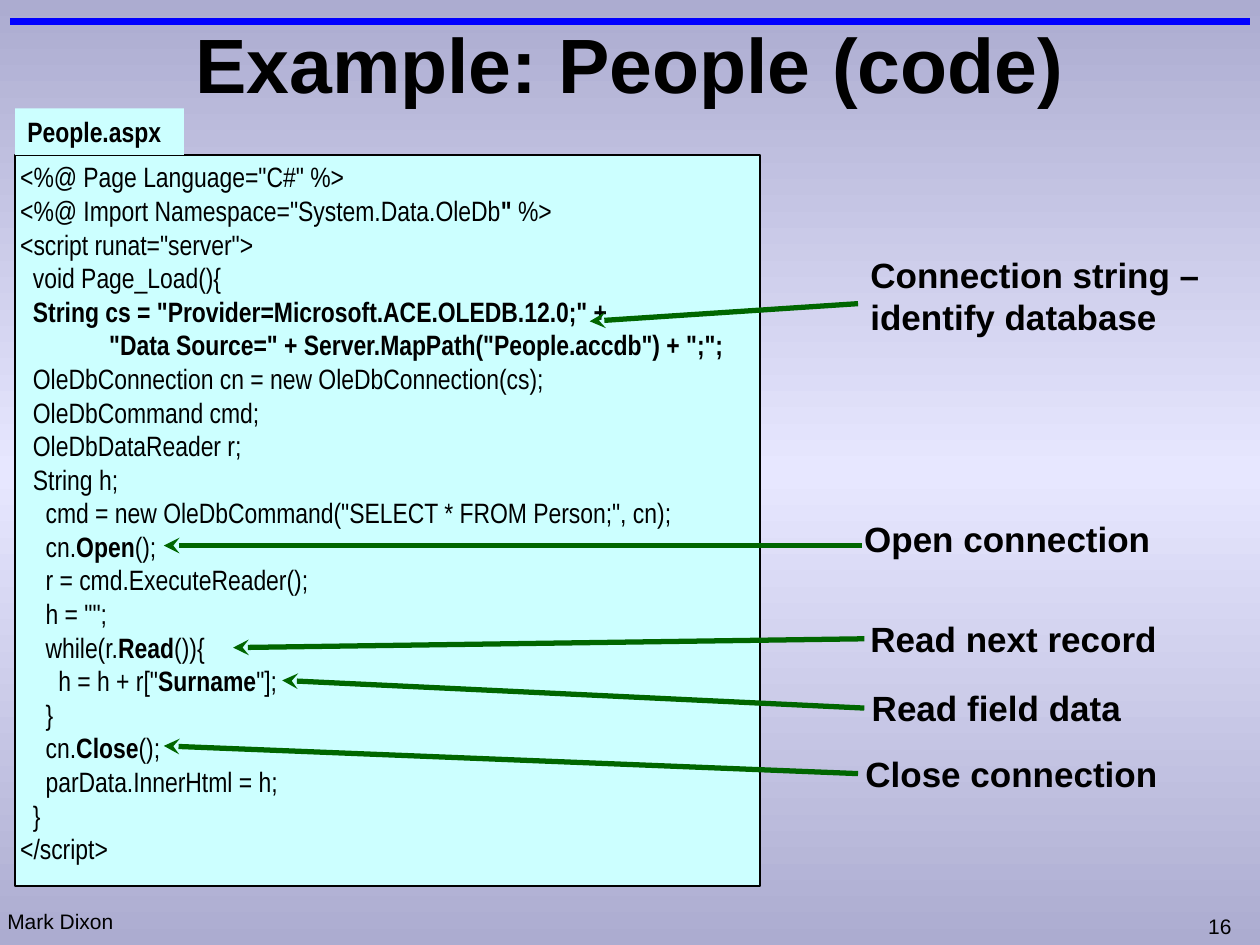
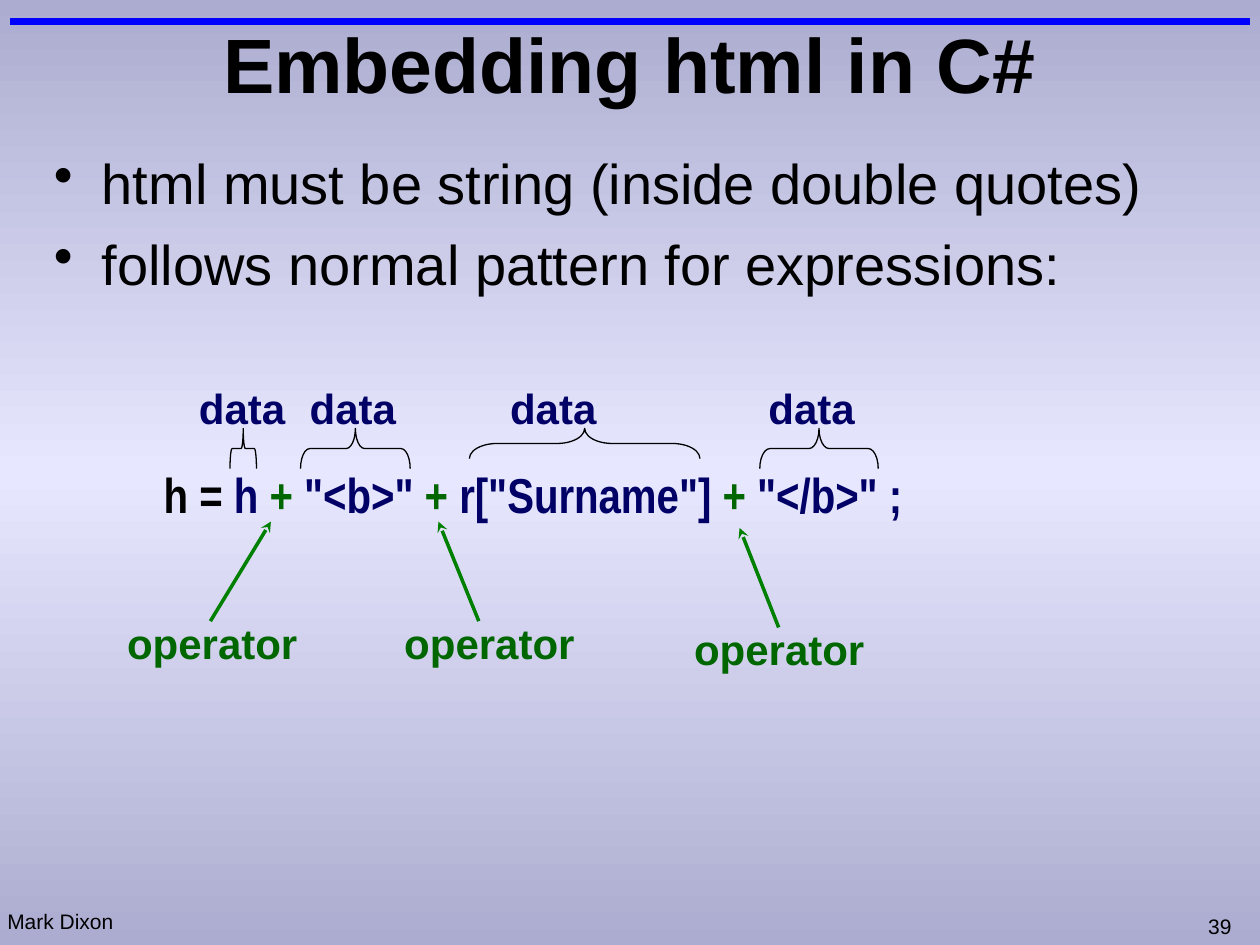
from copy import deepcopy

from pptx import Presentation
from pptx.dml.color import RGBColor
from pptx.enum.shapes import MSO_CONNECTOR as CONN, MSO_SHAPE as SHAPE
from pptx.enum.text import MSO_ANCHOR as ANCHOR, PP_ALIGN as ALIGN
from pptx.oxml.ns import qn
from pptx.oxml.xmlchemy import OxmlElement
from pptx.util import Inches, Pt

COLS, ROWS = 100, 75  # grid cells of 0.1 inch
BLACK, BLUE, NAVY = "000000", "0000FF", "000066"
GREEN, ARROW_GREEN, CODE_FILL = "006600", "008000", "CCFFFF"
BG_STOPS = ("ACACD0", "E7E7FF", "ACACD0")

TITLE = {"name": "Arial", "size": Pt(44), "bold": True}
FOOTER = {"name": "Arial", "size": Pt(12)}
BODY = {"name": "Arial", "size": Pt(32)}
NOTE = {"name": "Arial", "size": Pt(20), "bold": True}
TERM = {"name": "Arial", "size": Pt(24), "bold": True}
CODE = {"name": "Arial Narrow", "size": Pt(16)}
EXPRESSION = {"name": "Arial Narrow", "size": Pt(28), "bold": True}

# ~ switches bold on and off
PEOPLE_CODE = '''<%@ Page Language="C#" %>
<%@ Import Namespace="System.Data.OleDb~" ~%>
<script runat="server">
  void Page_Load(){
  ~String cs = "Provider=Microsoft.ACE.OLEDB.12.0;" +~
~              "Data Source=" + Server.MapPath("People.accdb") + ";";~
  OleDbConnection cn = new OleDbConnection(cs);
  OleDbCommand cmd;
  OleDbDataReader r;
  String h;
    cmd = new OleDbCommand("SELECT * FROM Person;", cn);
    cn.~Open~();
    r = cmd.ExecuteReader();
    h = "";
    while(r.~Read~()){
      h = h + r["~Surname~"];
    }
    cn.~Close~();
    parData.InnerHtml = h;
  }
</script>'''

# text, label box, arrow start, arrow end
CODE_NOTES = [
    ("Connection string – identify database", (68.1, 19.6, 29.4, 7.7), (68.1, 24.1), (46.8, 25.5)),
    ("Open connection", (67.6, 40.6, 24.9, 4.4), (68.4, 43.3), (13, 43.3)),
    ("Read next record", (68.1, 48.5, 24.9, 4.4), (68.6, 50.7), (18.5, 51.4)),
    ("Close connection", (67.7, 59.2, 25.4, 4.4), (68.1, 61.4), (13, 59.2)),
    ("Read field data", (68.2, 54, 21.9, 4.4), (68.6, 56.2), (22.4, 54)),
]

EXPRESSION_PARTS = [
    ("h = ", BLACK), ("h ", NAVY), ("+ ", GREEN), ('"<b>" ', NAVY), ("+ ", GREEN),
    ('r["Surname"] ', NAVY), ("+ ", GREEN), ('"</b>" ;', NAVY),
]
# label left, brace centre, brace span, brace depth, curl
DATA_TERMS = [
    (14.8, 19.3, 2.1, 3.2, 0.08),
    (23.6, 28.2, 8.7, 3.2, 0.23),
    (39.5, 46.4, 18.3, 2.4, 0.91),
    (60, 65, 9.4, 3.2, 0.25),
]
# label left, label top, arrow start column, arrow end column
OPERATORS = [(9.1, 48.5, 16.7, 21.5), (31.1, 48.5, 38, 34.8), (54.1, 49, 61.8, 58.7)]


def rgb(hex_code):
    return RGBColor.from_string(hex_code)


def cells(*counts):
    return [Inches(n / 10) for n in counts]


def add_run(p, text, fmt, color=BLACK, **extra):
    r = p.add_run()
    r.text = text
    for name, value in {**fmt, **extra}.items():
        setattr(r.font, name, value)
    r.font.color.rgb = rgb(color)


def text_box(slide, box, wrap=False, anchor=ANCHOR.TOP, inset=None):
    tf = slide.shapes.add_textbox(*cells(*box)).text_frame
    tf.word_wrap = wrap
    tf.vertical_anchor = anchor
    if inset is not None:
        for side in ("left", "top", "right", "bottom"):
            setattr(tf, f"margin_{side}", Inches(inset))
    return tf


def label(slide, text, box, fmt, color=BLACK, align=None, **frame):
    p = text_box(slide, box, **frame).paragraphs[0]
    p.alignment = align
    add_run(p, text, fmt, color)


def line(slide, start, end, color, width, arrow=False):
    cn = slide.shapes.add_connector(CONN.STRAIGHT, *cells(*start, *end))
    cn.line.color.rgb = rgb(color)
    cn.line.width = Pt(width)
    if arrow:
        cn.line._get_or_add_ln().append(OxmlElement("a:tailEnd", ))
        cn.line._get_or_add_ln()[-1].set("type", "stealth")
    cn._element.spPr.append(OxmlElement("a:effectLst"))


def shape(slide, kind, box, fill=None, outline=None, width=1):
    sp = slide.shapes.add_shape(kind, *cells(*box))
    sp.shadow.inherit = False
    for part, color in ((sp.fill, fill), (sp.line.fill, outline)):
        if color:
            part.solid()
            part.fore_color.rgb = rgb(color)
        else:
            part.background()
    if outline:
        sp.line.width = Pt(width)
    return sp


def brace(slide, center, top, span, depth, curl):
    """Draw a brace opening downwards: a left brace turned a quarter."""
    box = (center - depth / 2, top + (depth - span) / 2, depth, span)
    sp = shape(slide, SHAPE.LEFT_BRACE, box, outline=BLACK, width=0.75)
    sp.rotation = 90
    sp.adjustments[0] = curl


def bullets(slide, items, box):
    tf = text_box(slide, box, wrap=True)
    for i, item in enumerate(items):
        p = tf.add_paragraph() if i else tf.paragraphs[0]
        if i:
            p.space_before = Pt(8)
        pPr = p._p.get_or_add_pPr()
        pPr.set("marL", str(Inches(0.38)))
        pPr.set("indent", str(-Inches(0.38)))
        bu = OxmlElement("a:buChar")
        bu.set("char", "•")
        pPr.append(bu)
        add_run(p, item, BODY)


def code_text(slide, code, box):
    tf = text_box(slide, box, inset=0.04)
    for i, row in enumerate(code.split("\n")):
        p = tf.add_paragraph() if i else tf.paragraphs[0]
        for j, part in enumerate(row.split("~")):
            if part:
                add_run(p, part, CODE, bold=j % 2 == 1)


def set_background(master):
    """Give the master a vertical gradient with evenly spaced stops."""
    fill = master.background.fill
    fill.gradient()
    fill.gradient_angle = 270
    stop_list = next(master.element.iter(qn("a:gsLst")))
    stop_list.insert(1, deepcopy(stop_list[0]))
    for i, (stop, color) in enumerate(zip(fill.gradient_stops, BG_STOPS)):
        stop.position = i / (len(BG_STOPS) - 1)
        stop.color.rgb = rgb(color)


def new_slide(prs, title, number):
    slide = prs.slides.add_slide(prs.slide_layouts[6])
    label(slide, str(number), (94.9, 72, 4, 3), FOOTER)
    line(slide, (0.8, 1.7), (COLS - 0.8, 1.7), BLUE, 4)
    label(slide, "Mark Dixon", (-0.4, 71.6, 10.4, 3), FOOTER)
    label(slide, title, (0, 0, COLS, 10), TITLE, align=ALIGN.CENTER,
          wrap=True, anchor=ANCHOR.MIDDLE)
    return slide


def people_slide(prs):
    slide = new_slide(prs, "Example: People (code)", 16)
    shape(slide, SHAPE.RECTANGLE, (1.2, 12.3, 59.1, 58), CODE_FILL, BLACK)
    tab = shape(slide, SHAPE.RECTANGLE, (1.2, 8.6, 13.4, 3.7), CODE_FILL)
    p = tab.text_frame.paragraphs[0]
    p.alignment = ALIGN.LEFT
    add_run(p, "People.aspx", CODE, bold=True)
    code_text(slide, PEOPLE_CODE, (1.2, 12.3, 57.2, 57.3))
    for i, (text, box, start, end) in enumerate(CODE_NOTES):
        label(slide, text, box, NOTE, wrap=i == 0)
        line(slide, start, end, GREEN, 3, arrow=True)


def embedding_slide(prs):
    slide = new_slide(prs, "Embedding html in C#", 39)
    bullets(slide, ["html must be string (inside double quotes)",
                    "follows normal pattern for expressions:"], (3.3, 11.3, 93.3, 60.3))
    for left, center, span, depth, curl in DATA_TERMS:
        label(slide, "data", (left, 29.9, 8.9, 5), TERM, NAVY)
        brace(slide, center, 34, span, depth, curl)
    for left, top, start, end in OPERATORS:
        label(slide, "operator", (left, top, 15.5, 5), TERM, GREEN)
        line(slide, (start, top + 0.8), (end, top - 7.1), ARROW_GREEN, 2, arrow=True)
    p = text_box(slide, (12, 36.4, 61.1, 5.7)).paragraphs[0]
    for text, color in EXPRESSION_PARTS:
        add_run(p, text, EXPRESSION, color)


def main():
    prs = Presentation()
    prs.slide_width, prs.slide_height = cells(COLS, ROWS)
    set_background(prs.slide_master)
    people_slide(prs)
    embedding_slide(prs)
    prs.save("out.pptx")


if __name__ == "__main__":
    main()
